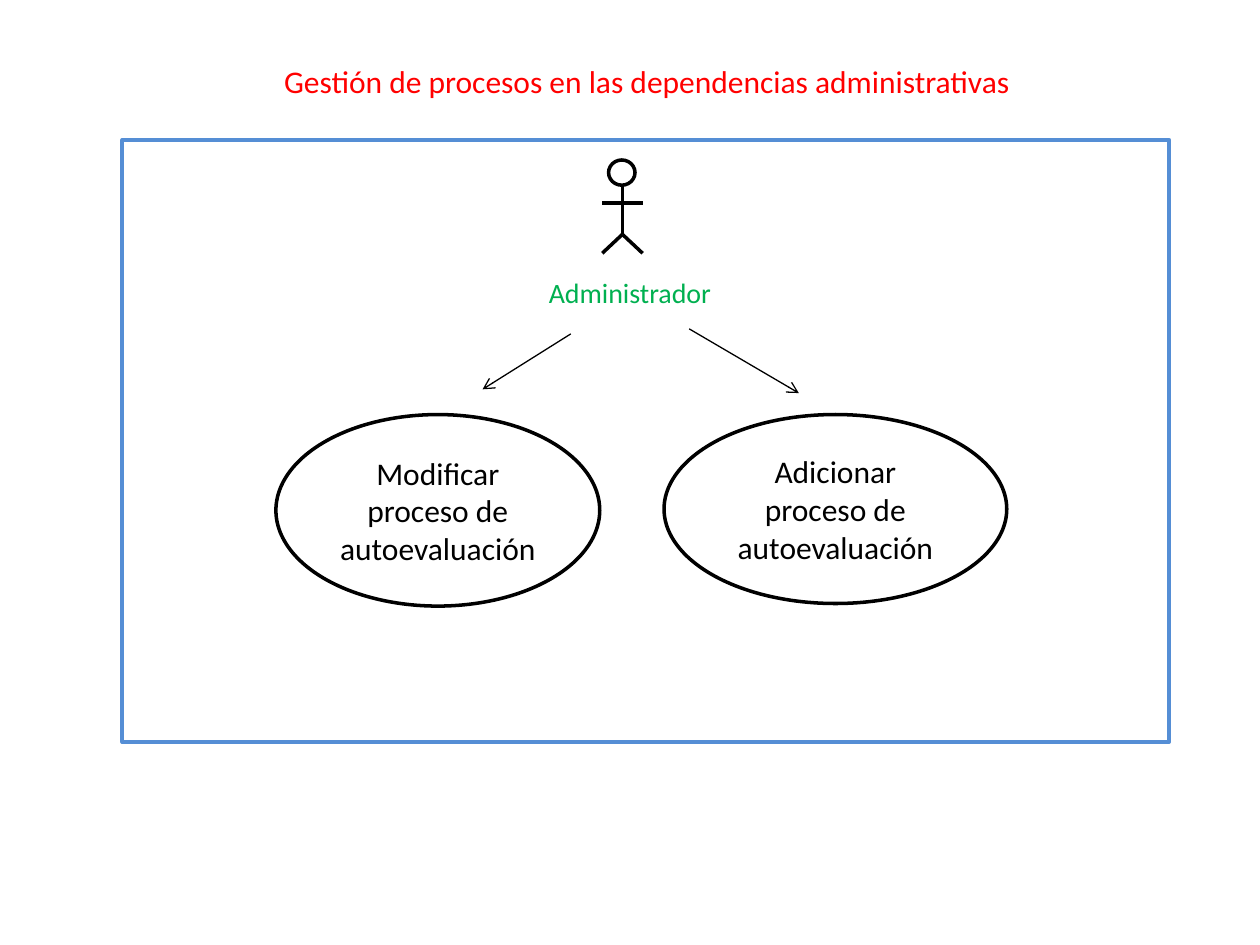
from dataclasses import dataclass

from lxml.etree import SubElement
from pptx import Presentation
from pptx.dml.color import RGBColor
from pptx.enum.shapes import MSO_CONNECTOR, MSO_SHAPE
from pptx.enum.text import MSO_ANCHOR, PP_ALIGN
from pptx.oxml.ns import qn
from pptx.util import Inches, Pt


@dataclass(frozen=True)
class Theme:
    """Colours, font and sizes of the slide."""
    font: str = "Calibri"
    ink: str = "000000"
    paper: str = "FFFFFF"
    title: str = "FF0000"
    actor: str = "00B050"
    frame: str = "558ED5"
    large: int = 18
    small: int = 16
    thick: float = 2
    thin: float = 0.75


THEME = Theme()


def paint(line, color, width):
    """Set the colour and width of a line."""
    line.color.rgb = RGBColor.from_string(color)
    line.width = Pt(width)


def write(shape, text, size, color):
    """Put one centred paragraph in a shape."""
    frame = shape.text_frame
    frame.word_wrap = True
    para = frame.paragraphs[0]
    para.text = text
    para.alignment = PP_ALIGN.CENTER
    para.font.name = THEME.font
    para.font.size = Pt(size)
    para.font.color.rgb = RGBColor.from_string(color)


def add_label(shapes, box, text, size, color):
    """Add a text box."""
    write(shapes.add_textbox(*map(Inches, box)), text, size, color)


def add_form(shapes, kind, box, color, fill=None):
    """Add an outlined preset shape."""
    form = shapes.add_shape(kind, *map(Inches, box))
    form.shadow.inherit = False
    if fill:
        form.fill.solid()
        form.fill.fore_color.rgb = RGBColor.from_string(fill)
    else:
        form.fill.background()
    paint(form.line, color, THEME.thick)
    return form


def add_line(shapes, start, end, width):
    """Add a straight line without shadow."""
    line = shapes.add_connector(MSO_CONNECTOR.STRAIGHT, *map(Inches, start + end))
    paint(line.line, THEME.ink, width)
    SubElement(line._element.spPr, qn("a:effectLst"))
    return line


def add_arrow(shapes, start, end):
    """Add a thin line with an open head at its end."""
    arrow = add_line(shapes, start, end, THEME.thin)
    SubElement(arrow.line._get_or_add_ln(), qn("a:tailEnd"), type="arrow")


def add_actor(shapes, mid, top):
    """Add a stick figure as one group."""
    group = shapes.add_group_shape().shapes
    add_form(group, MSO_SHAPE.OVAL, (mid - 0.11, top, 0.21, 0.2),
             THEME.ink, THEME.paper)
    left, right = mid - 0.16, mid + 0.16
    hip, foot, arm = top + 0.59, top + 0.74, top + 0.34
    for start, end in (
        ((mid, hip), (mid, top + 0.19)),
        ((mid, hip), (left, foot)),
        ((mid, hip), (right, foot)),
        ((left, arm), (right, arm)),
    ):
        add_line(group, start, end, THEME.thick)


def add_case(shapes, box, text):
    """Add a use case as a labelled oval."""
    oval = add_form(shapes, MSO_SHAPE.OVAL, box, THEME.ink, THEME.paper)
    oval.text_frame.vertical_anchor = MSO_ANCHOR.MIDDLE
    write(oval, text, THEME.large, THEME.ink)


def main():
    """Build and save the use case slide."""
    deck = Presentation()
    deck.slide_width, deck.slide_height = Inches(10), Inches(7.5)
    shapes = deck.slides.add_slide(deck.slide_layouts[6]).shapes

    add_actor(shapes, 4.94, 1.27)
    add_label(shapes, (4.18, 2.14, 1.64, 0.37), "Administrador",
              THEME.small, THEME.actor)
    add_form(shapes, MSO_SHAPE.RECTANGLE, (0.97, 1.11, 8.31, 4.78), THEME.frame)
    add_label(shapes, (0.98, 0.44, 8.31, 0.4),
              "Gestión de procesos en las dependencias administrativas",
              THEME.large, THEME.title)

    for verb, box in (
        ("Adicionar", (5.27, 3.29, 2.72, 1.5)),
        ("Modificar", (2.19, 3.29, 2.57, 1.52)),
    ):
        add_case(shapes, box, f"{verb} proceso de autoevaluación")

    add_arrow(shapes, (4.53, 2.65), (3.83, 3.09))
    add_arrow(shapes, (5.47, 2.61), (6.34, 3.12))
    deck.save("out.pptx")


main()
